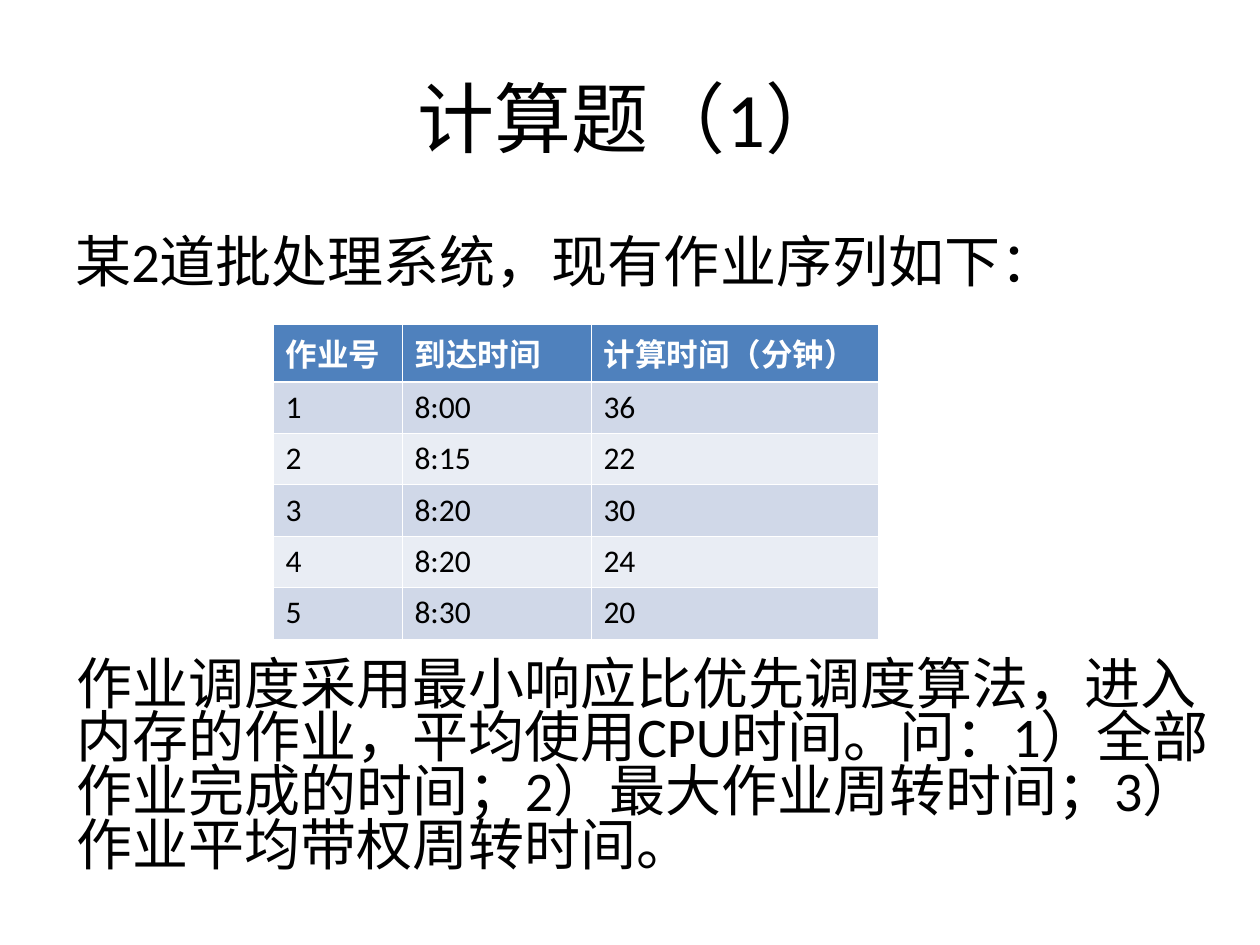
from lxml.etree import SubElement
from pptx import Presentation
from pptx.dml.color import RGBColor
from pptx.enum.text import MSO_ANCHOR, PP_ALIGN
from pptx.oxml.ns import qn
from pptx.util import Emu, Pt

EMU_PER_PX = 914400 / 126
FONT = "Calibri"
BLACK = RGBColor(0x00, 0x00, 0x00)
WHITE = RGBColor(0xFF, 0xFF, 0xFF)
HEADER_BLUE = RGBColor(0x4F, 0x81, 0xBD)
BANDS = (RGBColor(0xE9, 0xED, 0xF4), RGBColor(0xD0, 0xD8, 0xE8))

HEADINGS = ("作业号", "到达时间", "计算时间（分钟）")
JOBS = (
    ("1", "8:00", "36"),
    ("2", "8:15", "22"),
    ("3", "8:20", "30"),
    ("4", "8:20", "24"),
    ("5", "8:30", "20"),
)
COLUMN_WEIGHTS = (129, 189, 287)
HEADER_HEIGHT = 58
QUESTION = (
    "作业调度采用最小响应比优先调度算法，进入内存的作业，平均使用CPU时间。"
    "问：1）全部作业完成的时间；2）最大作业周转时间；3）作业平均带权周转时间。"
)


def px(length):
    """Turn a length in px into EMU."""
    return Emu(round(length * EMU_PER_PX))


def write(frame, text, size=32, color=BLACK, bold=False,
          align=PP_ALIGN.LEFT, anchor=MSO_ANCHOR.TOP, line_spacing=None):
    """Write one formatted paragraph into a text frame."""
    frame.word_wrap = True
    frame.vertical_anchor = anchor
    paragraph = frame.paragraphs[0]
    paragraph.alignment = align
    paragraph.space_before = Pt(0)
    paragraph.line_spacing = line_spacing
    run = paragraph.add_run()
    run.text = text
    run.font.name = FONT
    run.font.size = Pt(size)
    run.font.bold = bold
    run.font.color.rgb = color


def add_title(slide, box, text):
    """Place the title placeholder in its box."""
    title = slide.shapes.title
    title.left, title.top, title.width, title.height = map(px, box)
    write(title.text_frame, text, size=44,
          align=PP_ALIGN.CENTER, anchor=MSO_ANCHOR.MIDDLE)


def add_passage(slide, box, text, **text_format):
    """Place a passage of body text in its box."""
    passage = slide.shapes.add_textbox(*map(px, box))
    write(passage.text_frame, text, **text_format)


def add_borders(cell, widths):
    """Draw white borders of the given point widths on a cell."""
    properties = cell._tc.get_or_add_tcPr()
    for side in ("L", "R", "T", "B"):
        line = SubElement(properties, qn(f"a:ln{side}"), w=str(Pt(widths[side])))
        fill = SubElement(line, qn("a:solidFill"))
        SubElement(fill, qn("a:srgbClr"), val=str(WHITE))


def add_job_table(slide, box):
    """Place the job table, sharing out the width and height of its box."""
    width, height = box[2:]
    rows = (HEADINGS, *JOBS)
    table = slide.shapes.add_table(len(rows), len(HEADINGS), *map(px, box)).table
    for column, weight in zip(table.columns, COLUMN_WEIGHTS):
        column.width = px(width * weight / sum(COLUMN_WEIGHTS))
    for index, values in enumerate(rows):
        header = index == 0
        table.rows[index].height = px(
            HEADER_HEIGHT if header else (height - HEADER_HEIGHT) / len(JOBS))
        widths = {"L": 0.45, "R": 0.45,
                  "T": 1.47 if index == 1 else 0.45,
                  "B": 1.47 if header else 0.45}
        for cell, value in zip(table.rows[index].cells, values):
            add_borders(cell, widths)
            cell.fill.solid()
            cell.fill.fore_color.rgb = HEADER_BLUE if header else BANDS[index % 2]
            write(cell.text_frame, value, size=18, bold=header,
                  color=WHITE if header else BLACK)


def main():
    """Build and save the slide."""
    presentation = Presentation()
    presentation.slide_width = px(1260)
    presentation.slide_height = px(945)
    slide = presentation.slides.add_slide(presentation.slide_layouts[5])
    add_title(slide, (63, 38, 1134, 158), "计算题（1）")
    add_passage(slide, (63, 220, 1134, 93), "某2道批处理系统，现有作业序列如下：")
    add_job_table(slide, (273, 324, 605, 315))
    add_passage(slide, (64, 655, 1171, 253), QUESTION, line_spacing=0.8)
    presentation.save("out.pptx")


if __name__ == "__main__":
    main()
